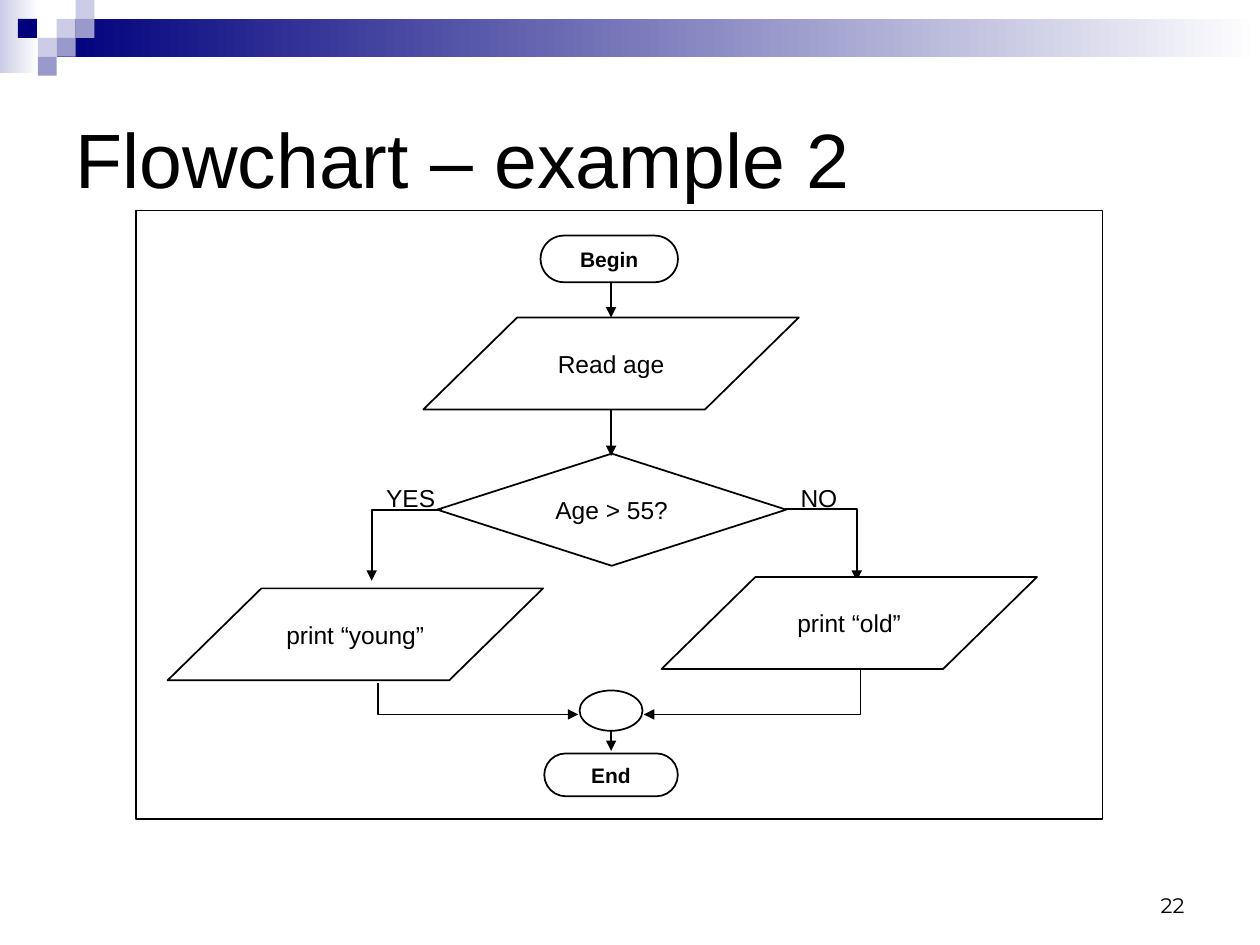
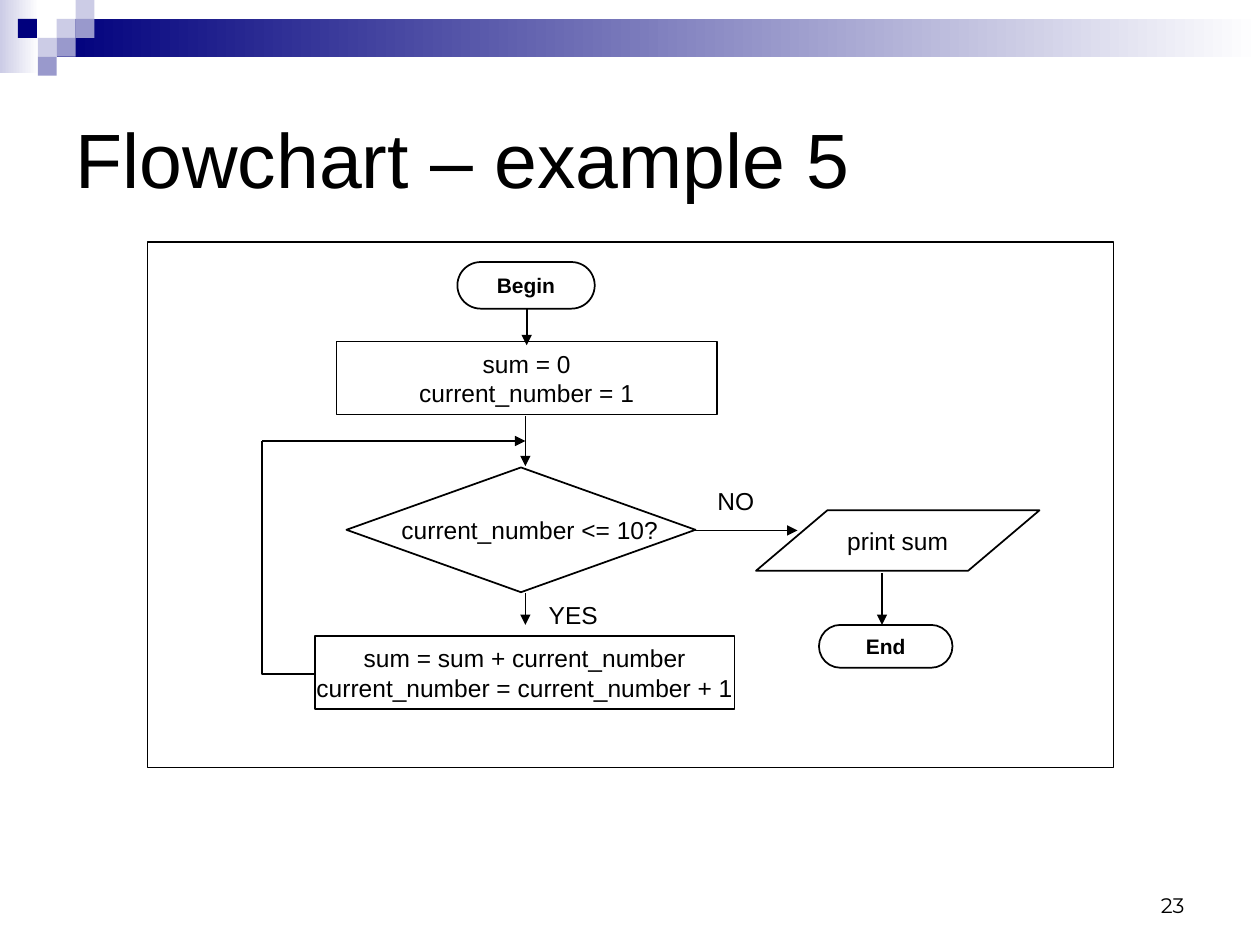
"""Build two flowchart slides that share a banded header, title and page number."""
from lxml.etree import SubElement
from pptx import Presentation
from pptx.dml.color import RGBColor
from pptx.enum.shapes import MSO_CONNECTOR, MSO_SHAPE
from pptx.enum.text import MSO_ANCHOR, PP_ALIGN
from pptx.oxml.ns import qn
from pptx.util import Inches, Pt

COLORS = {"ink": "000000", "paper": "FFFFFF", "navy": "00007D",
          "violet": "9999CC", "pale": "CCCCE6"}
TITLE = {"size": Pt(44), "name": "Arial"}
NUMBER = {"size": Pt(12), "name": "Montserrat"}
BODY = {"size": Pt(14), "name": "Arial"}
STRONG = {"size": Pt(12), "name": "Arial", "bold": True}
TILE = 0.15
TILES = [(3, 1, "pale"), (4, 0, "pale"), (4, 1, "violet"), (2, 2, "pale"),
         (0.95, 1, "navy"), (3, 2, "violet"), (2, 3, "violet")]


def rgb(name):
    """Return the named colour."""
    return RGBColor.from_string(COLORS[name])


def set_all(obj, values):
    """Set every attribute in values on obj."""
    for name, value in values.items():
        setattr(obj, name, value)


class Deck:
    """Hold the presentation style and the current slide."""

    def __init__(self):
        """Start an empty 10 by 7.5 inch presentation."""
        self.prs = Presentation()
        set_all(self.prs, {"slide_width": Inches(10), "slide_height": Inches(7.5)})
        self.s = None

    def slide(self, title, number):
        """Add a slide with header band, tiles, title and page number."""
        self.s = self.prs.slides.add_slide(self.prs.slide_layouts[6])
        self.band(0, 0, 0.31, 0.58, "pale")
        self.band(3 * TILE, TILE, 10 - 3 * TILE, 2 * TILE, "navy")
        for col, row, color in TILES:
            self.shape(MSO_SHAPE.RECTANGLE, col * TILE, row * TILE, TILE, TILE,
                       fill=color, line=None)
        self.text(title, 0.5, 0.5, 9, 1.5, TITLE)
        self.text(number, 7.17, 6.83, 2.33, 0.5, NUMBER,
                  PP_ALIGN.RIGHT, MSO_ANCHOR.BOTTOM)

    def set_lines(self, sp, text, fmt, align, frame):
        """Put the lines of text into a shape."""
        tf = sp.text_frame
        set_all(tf, frame)
        for i, line in enumerate(text.split("\n")):
            p = tf.add_paragraph() if i else tf.paragraphs[0]
            p.alignment = align
            r = p.add_run()
            r.text = line
            set_all(r.font, fmt)
            r.font.color.rgb = rgb("ink")

    def text(self, text, x, y, w, h, fmt, align=PP_ALIGN.LEFT,
             anchor=MSO_ANCHOR.MIDDLE):
        """Add a wrapping text box."""
        sp = self.s.shapes.add_textbox(Inches(x), Inches(y), Inches(w), Inches(h))
        self.set_lines(sp, text, fmt, align,
                       {"word_wrap": True, "vertical_anchor": anchor})

    def shape(self, kind, x, y, w, h, text="", fmt=BODY, fill=None, line=1,
              nudge=0):
        """Add a preset shape with centred text moved right by nudge."""
        sp = self.s.shapes.add_shape(kind, Inches(x), Inches(y), Inches(w), Inches(h))
        sp.shadow.inherit = False
        self.paint(sp, fill, line)
        if text:
            self.set_lines(sp, text, fmt, PP_ALIGN.CENTER, {
                "word_wrap": False, "vertical_anchor": MSO_ANCHOR.MIDDLE,
                "margin_left": Inches(2 * nudge), "margin_right": 0,
                "margin_top": 0, "margin_bottom": 0})
        return sp

    def paint(self, sp, fill, line):
        """Set the fill colour and line width of a shape."""
        if fill:
            sp.fill.solid()
            sp.fill.fore_color.rgb = rgb(fill)
        else:
            sp.fill.background()
        if line:
            sp.line.color.rgb = rgb("ink")
            sp.line.width = Pt(line)
        else:
            sp.line.fill.background()

    def band(self, x, y, w, h, color):
        """Add a bar that fades from color to the paper."""
        fill = self.shape(MSO_SHAPE.RECTANGLE, x, y, w, h, line=None).fill
        fill.gradient()
        fill.gradient_angle = 0
        for stop, name in zip(fill.gradient_stops, (color, "paper")):
            stop.color.rgb = rgb(name)

    def frame(self, x, y, w, h):
        """Add the thin frame around a flowchart."""
        self.shape(MSO_SHAPE.RECTANGLE, x, y, w, h, line=0.75)

    def terminal(self, text, x, y, w, h):
        """Add a start or end node."""
        sp = self.shape(MSO_SHAPE.ROUNDED_RECTANGLE, x, y, w, h, text, STRONG, "paper")
        sp.adjustments[0] = 0.5

    def data(self, text, x, y, w, h, slant):
        """Add an input or output node."""
        sp = self.shape(MSO_SHAPE.PARALLELOGRAM, x, y, w, h, text, fill="paper")
        sp.adjustments[0] = slant

    def process(self, text, x, y, w, h):
        """Add a process node."""
        self.shape(MSO_SHAPE.RECTANGLE, x, y, w, h, text)

    def decision(self, text, x, y, w, h, nudge=0):
        """Add a decision node."""
        self.shape(MSO_SHAPE.DIAMOND, x, y, w, h, text, nudge=nudge)

    def label(self, text, x, y):
        """Add a branch label."""
        self.shape(MSO_SHAPE.RECTANGLE, x, y, 0.6, 0.34, text, line=None)

    def flow(self, *points, width=1, head=True):
        """Draw a line through the points, with an arrowhead at its end."""
        pts = [(Inches(x), Inches(y)) for x, y in points]
        if len(pts) == 2:
            sp = self.s.shapes.add_connector(MSO_CONNECTOR.STRAIGHT, *pts[0], *pts[1])
            SubElement(sp._element.spPr, qn("a:effectLst"))
        else:
            builder = self.s.shapes.build_freeform(*pts[0])
            builder.add_line_segments(pts[1:], close=False)
            sp = builder.convert_to_shape()
            sp.shadow.inherit = False
            sp.fill.background()
        sp.line.color.rgb = rgb("ink")
        sp.line.width = Pt(width)
        if head:
            SubElement(sp.line._get_or_add_ln(), qn("a:tailEnd"), type="triangle")


def age_chart(deck):
    """Draw the chart that branches on age."""
    deck.slide("Flowchart – example 2", "22")
    deck.frame(1.08, 1.67, 7.67, 4.83)
    mid = 4.85
    for top, bottom in ((2.12, 2.52), (3.21, 3.62), (5.58, 5.96)):
        deck.flow((mid, top), (mid, bottom))
    deck.flow((6.23, 4.04), (6.8, 4.04), (6.8, 4.61))
    deck.flow((3.51, 4.05), (2.95, 4.05), (2.95, 4.61))
    deck.flow((6.83, 5.25), (6.83, 5.67), (5.11, 5.67))
    deck.flow((3, 5.42), (3, 5.67), (4.59, 5.67))
    deck.terminal("Begin", 4.29, 1.87, 1.09, 0.37)
    deck.decision("Age > 55?", 3.47, 3.6, 2.77, 0.89)
    for text, x, y in (("Read age", 3.36, 2.52), ("print “young”", 1.33, 4.67),
                       ("print “old”", 5.25, 4.58)):
        deck.data(text, x, y, 2.98, 0.73, 1.02)
    deck.shape(MSO_SHAPE.OVAL, 4.6, 5.48, 0.5, 0.32, fill="paper")
    deck.terminal("End", 4.32, 5.98, 1.06, 0.34)
    deck.label("YES", 2.96, 3.78)
    deck.label("NO", 6.2, 3.78)


def sum_chart(deck):
    """Draw the chart that sums numbers in a loop."""
    deck.slide("Flowchart – example 5", "23")
    deck.frame(1.17, 1.92, 7.67, 4.17)
    mid = 4.17
    deck.flow((4.18, 2.33), (4.18, 2.74))
    deck.flow((mid, 3.3), (mid, 3.7))
    deck.flow((2.51, 5.35), (2.08, 5.35), (2.08, 3.5), head=False)
    for start, end in (((mid, 4.71), (mid, 4.96)), ((2.08, 3.5), (mid, 3.5)),
                       ((5.5, 4.21), (6.33, 4.21)), ((7, 4.55), (7, 4.96))):
        deck.flow(start, end, width=0.75)
    deck.terminal("Begin", 3.63, 2.08, 1.09, 0.37)
    deck.process("sum = 0\ncurrent_number = 1", 2.67, 2.71, 3.02, 0.58)
    deck.decision("current_number <= 10?", 2.75, 3.71, 2.77, 0.99, nudge=0.07)
    deck.process("sum = sum + current_number\ncurrent_number = current_number + 1",
                 2.5, 5.05, 3.33, 0.58)
    deck.data("print sum", 6, 4.05, 2.25, 0.48, 1.18)
    deck.terminal("End", 6.5, 4.96, 1.06, 0.34)
    deck.label("NO", 5.54, 3.8)
    deck.label("YES", 4.25, 4.71)


def main():
    """Build and save both slides."""
    deck = Deck()
    age_chart(deck)
    sum_chart(deck)
    deck.prs.save("out.pptx")


if __name__ == "__main__":
    main()
